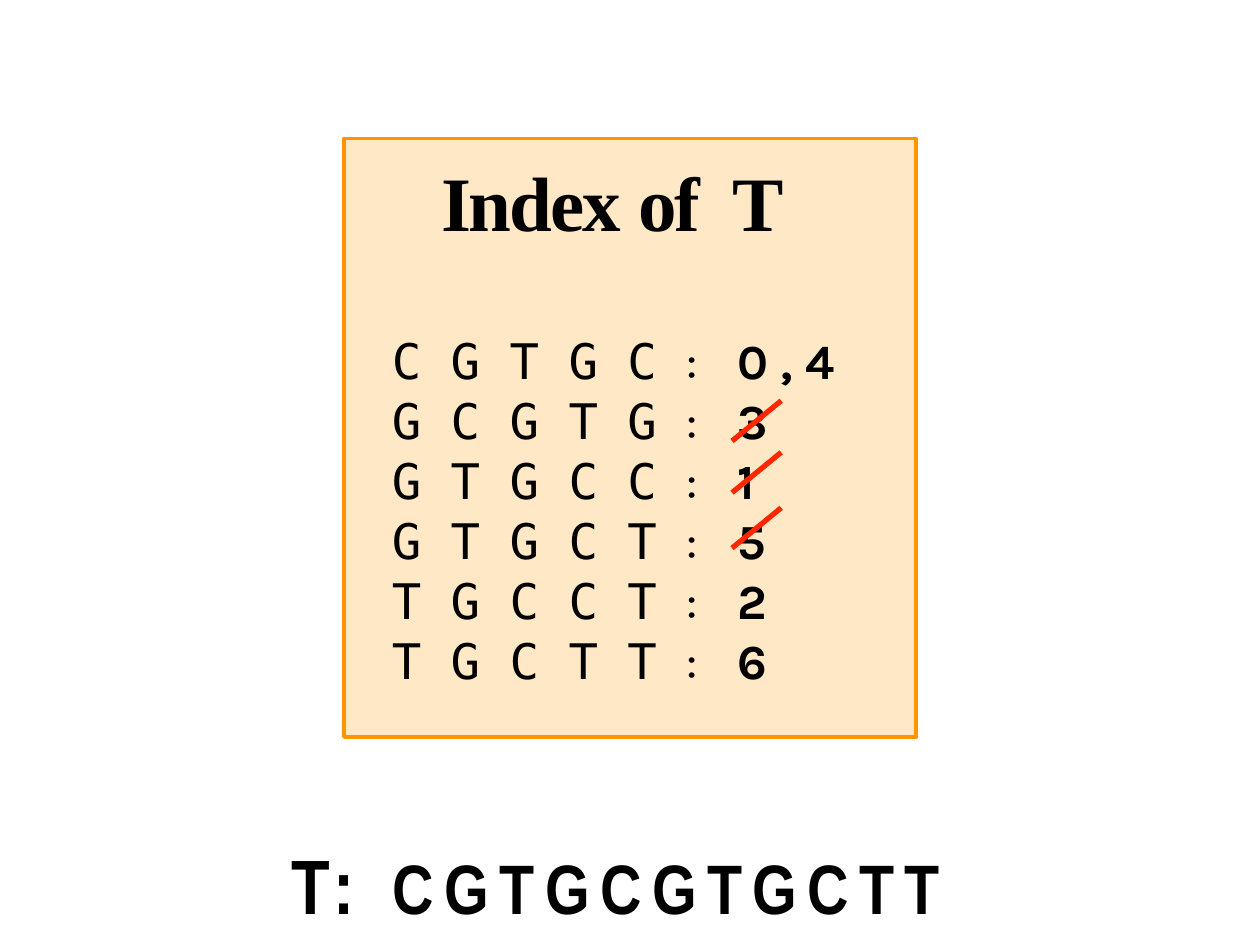
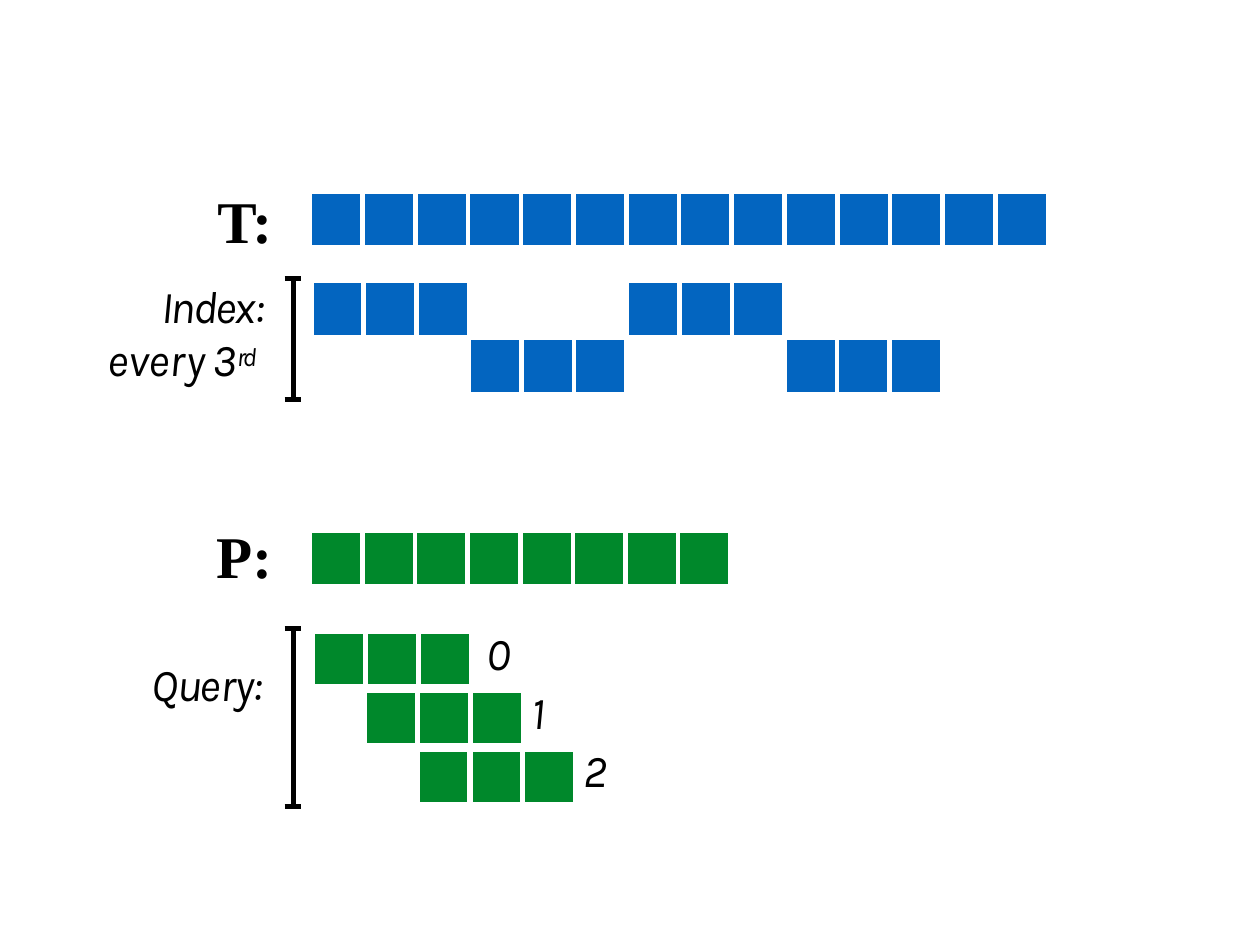
from lxml.etree import SubElement
from pptx import Presentation
from pptx.dml.color import RGBColor
from pptx.enum.shapes import MSO_CONNECTOR, MSO_SHAPE
from pptx.enum.text import MSO_ANCHOR, MSO_AUTO_SIZE, PP_ALIGN
from pptx.oxml.ns import qn
from pptx.util import Inches, Pt

BLACK, WHITE = "000000", "FFFFFF"
BLUE, GREEN, RED = "0365C0", "00882B", "FF2600"
CREAM, ORANGE = "FFE8C5", "FF9300"
SERIF, SANS, MONO, NARROW = "Times New Roman", "Karla", "DejaVu Sans Mono", "Arial Narrow"
NO_GRID_STYLE = "{2D5ABB26-0587-4C30-8999-92F81FD0307C}"


def rgb(hex_colour):
    return RGBColor.from_string(hex_colour)


def write(frame, *runs, size=26, font=SANS, bold=False, italic=False, spacing=0,
          align=PP_ALIGN.LEFT, anchor=MSO_ANCHOR.TOP, line=None,
          margin=0.01, indent=0, inset=0.01):
    """Fill a text frame; each run is a string or (string, overrides)."""
    frame.word_wrap = True
    frame.auto_size = MSO_AUTO_SIZE.NONE
    frame.vertical_anchor = anchor
    frame.margin_left = frame.margin_right = frame.margin_bottom = 0
    frame.margin_top = Inches(inset)
    paragraph = frame.paragraphs[0]
    paragraph.alignment = align
    paragraph.space_before = Pt(0)
    if line:
        paragraph.line_spacing = Pt(line)
    properties = paragraph._p.get_or_add_pPr()
    properties.set("marL", str(Inches(margin)))
    properties.set("indent", str(Inches(indent)))
    for item in runs:
        words, own = (item, {}) if isinstance(item, str) else item
        run = paragraph.add_run()
        run.text = words
        run.font.size = Pt(own.get("size", size))
        run.font.name = own.get("font", font)
        run.font.bold, run.font.italic = bold, italic
        run.font.color.rgb = rgb(BLACK)
        run_properties = run._r.get_or_add_rPr()
        run_properties.set("spc", str(round(own.get("spacing", spacing) * 100)))
        if "raised" in own:
            run_properties.set("baseline", str(own["raised"] * 1000))


deck = Presentation()
deck.slide_width, deck.slide_height = Inches(10), Inches(7.5)

# Slide 1: index of T
index_slide = deck.slides.add_slide(deck.slide_layouts[5])
panel = index_slide.shapes.add_shape(
    MSO_SHAPE.RECTANGLE, Inches(2.73), Inches(1.1), Inches(4.54), Inches(4.75))
panel.shadow.inherit = False
panel.fill.solid()
panel.fill.fore_color.rgb = rgb(CREAM)
panel.line.color.rgb = rgb(ORANGE)
panel.line.width = Pt(2)

# The title stands in front of the panel
title = index_slide.shapes.title
panel._element.addnext(title._element)
title.left, title.top, title.width, title.height = map(Inches, (3.49, 1.21, 3.06, 0.75))
write(title.text_frame, ("Index ", {"spacing": -1.2}), "of", (" ", {"spacing": 8}),
      ("T", {"spacing": -2.6}), size=44, font=SERIF, bold=True, spacing=-1.6,
      anchor=MSO_ANCHOR.MIDDLE)

sequence = index_slide.shapes.add_textbox(Inches(2.3), Inches(6.64), Inches(5.91), Inches(0.75))
write(sequence.text_frame, "T: ", ("CGTGCGTGCTT", {"size": 40}),
      size=44, font=NARROW, bold=True, spacing=6)

# Substrings and their offsets
entries = [("CGTGC", "0 , 4"), ("GCGTG", "3"), ("GTGCC", "1"),
           ("GTGCT", "5"), ("TGCCT", "2"), ("TGCTT", "6")]
index_table = index_slide.shapes.add_table(
    len(entries), 2, Inches(3.08), Inches(2.64), Inches(3.83), Inches(2.7)).table
index_table._tbl.tblPr.find(qn("a:tableStyleId")).text = NO_GRID_STYLE
index_table.first_row = index_table.horz_banding = False
index_table.columns[0].width, index_table.columns[1].width = Inches(2.63), Inches(1.2)
for row, (substring, offsets) in enumerate(entries):
    pitch = 34.2 if row else 34
    substring_cell, offset_cell = index_table.cell(row, 0), index_table.cell(row, 1)
    for cell in (substring_cell, offset_cell):
        cell.margin_left = cell.margin_right = cell.margin_top = cell.margin_bottom = 0
        cell.fill.solid()
        cell.fill.fore_color.rgb = rgb(CREAM)
    write(substring_cell.text_frame, (" ".join(substring) + " ", {"font": MONO}), ":",
          size=28, line=pitch, margin=0.03)
    write(offset_cell.text_frame, offsets, size=28, bold=True, line=pitch, margin=0.14)

# Slide 2: index every third, query every offset
query_slide = deck.slides.add_slide(deck.slide_layouts[6])
strips = [
    (2.46, 1.52, 5.86, 0.44, BLUE, ["#" * 14]),
    (2.47, 2.23, 5.01, 0.45, BLUE, ["###...###...", "...###...###"]),
    (2.46, 4.21, 3.34, 0.44, GREEN, ["#" * 8]),
]
for left, top, width, row_height, colour, patterns in strips:
    count = len(patterns[0])
    strip = query_slide.shapes.add_table(
        len(patterns), count, Inches(left), Inches(top),
        Inches(width), Inches(row_height * len(patterns))).table
    strip._tbl.tblPr.find(qn("a:tableStyleId")).text = NO_GRID_STYLE
    strip.first_row = strip.horz_banding = False
    for column in strip.columns:
        column.width = Inches(width / count)
    for row, pattern in enumerate(patterns):
        for position, mark in enumerate(pattern):
            cell = strip.cell(row, position)
            cell_properties = cell._tc.get_or_add_tcPr()
            for side in ("a:lnL", "a:lnR", "a:lnT", "a:lnB"):
                border = SubElement(cell_properties, qn(side), w=str(Pt(3)))
                SubElement(SubElement(border, qn("a:solidFill")), qn("a:srgbClr"), val=WHITE)
            if mark == "#":
                cell.fill.solid()
                cell.fill.fore_color.rgb = rgb(colour)
            else:
                cell.fill.background()
        for start in range(0, count, 3):
            if pattern[start] == ".":
                strip.cell(row, start).merge(strip.cell(row, start + 2))

# Query substrings, each shifted by one letter: a green block under a white grid
for offset, number_left in enumerate((3.85, 4.21, 4.62)):
    left, top = 2.48 + 0.415 * offset, 5.01 + 0.47 * offset
    right, bottom = left + 1.26, top + 0.44
    block = query_slide.shapes.add_shape(
        MSO_SHAPE.RECTANGLE, Inches(left), Inches(top), Inches(1.26), Inches(0.44))
    block.shadow.inherit = False
    block.fill.solid()
    block.fill.fore_color.rgb = rgb(GREEN)
    block.line.fill.background()

    rules = [(x, top - 0.01, x, bottom + 0.01) for x in (left + 0.42 * i for i in range(4))]
    rules += [(left - 0.01, y, right + 0.01, y) for y in (top, bottom)]
    outline = query_slide.shapes.build_freeform(Inches(rules[0][0]), Inches(rules[0][1]))
    for number_of_rule, (x1, y1, x2, y2) in enumerate(rules):
        if number_of_rule:
            outline.move_to(Inches(x1), Inches(y1))
        outline.add_line_segments([(Inches(x2), Inches(y2))], close=False)
    grid = outline.convert_to_shape()
    grid.shadow.inherit = False
    grid.fill.background()
    grid.line.color.rgb = rgb(WHITE)
    grid.line.width = Pt(3)

    number = query_slide.shapes.add_textbox(
        Inches(number_left), Inches(4.95 + 0.465 * offset), Inches(0.2), Inches(0.45))
    write(number.text_frame, str(offset), italic=True, spacing=-0.8)

# Row labels
for name, top in (("T:", 1.45), ("P:", 4.11)):
    label = query_slide.shapes.add_textbox(Inches(1.46), Inches(top), Inches(0.7), Inches(0.58))
    write(label.text_frame, name, size=33.8, font=SERIF, bold=True,
          align=PP_ALIGN.RIGHT, anchor=MSO_ANCHOR.MIDDLE)

index_label = query_slide.shapes.add_textbox(
    Inches(0.82), Inches(2.19), Inches(1.36), Inches(0.88))
write(index_label.text_frame, ("Index", {"spacing": -1.2}), (": ", {"spacing": -3.6}),
      "e", ("v", {"spacing": -1.7}), ("e", {"spacing": -2.7}), "r", ("y ", {"spacing": -1.4}),
      ("3", {"spacing": -0.8}), ("rd", {"size": 25.8, "spacing": -1.8, "raised": 22}),
      italic=True, spacing=-1.6, line=30.2, margin=0.03, indent=0.43, inset=0.03)

query_label = query_slide.shapes.add_textbox(
    Inches(1.19), Inches(5.2), Inches(0.98), Inches(0.45))
write(query_label.text_frame, ("Q", {"spacing": 0}), ("ue", {"spacing": -2}), "ry",
      (":", {"spacing": -4.1}), italic=True, spacing=-1.1)

# Strokes: crossed-out offsets, then brackets
strokes = [(index_slide, RED, 5.81, top + 0.32, 6.2, top) for top in (3.18, 3.59, 4.03)]
for top, bottom in ((2.21, 3.17), (4.99, 6.4)):
    strokes.append((query_slide, BLACK, 2.33, top, 2.33, bottom))
    strokes += [(query_slide, BLACK, 2.26, end, 2.39, end) for end in (top, bottom)]
for slide, colour, *ends in strokes:
    stroke = slide.shapes.add_connector(MSO_CONNECTOR.STRAIGHT, *map(Inches, ends))
    stroke.line.color.rgb = rgb(colour)
    stroke.line.width = Pt(3)
    SubElement(stroke._element.spPr, qn("a:effectLst"))

deck.save("out.pptx")
